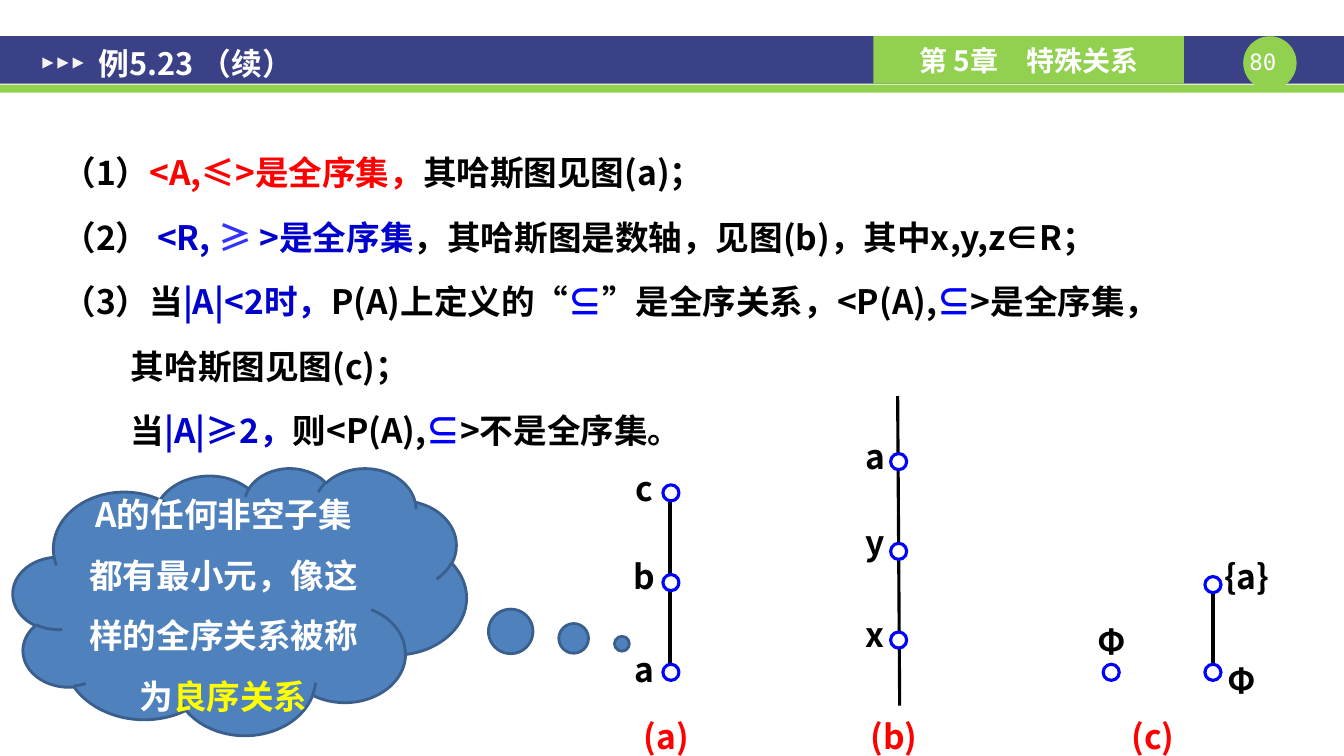
"""Build the slide for example 5.23: totally ordered sets and their Hasse diagrams."""
from lxml import etree
from pptx import Presentation
from pptx import util as u
from pptx.dml.color import RGBColor
from pptx.enum import shapes, text
from pptx.oxml.ns import qn

THEME = {
    "font": "Noto Sans CJK SC", "mono": "DejaVu Sans Mono",
    "page": 16, "chapter": 20, "title": 22, "body": 24,
    "navy": "3A4187", "green": "92D050", "arrow": "F2F2F2", "white": "FFFFFF",
    "black": "000000", "red": "FF0000", "yellow": "FFFF00", "blue": "0000CC",
    "violet": "3333FF", "bright": "0000FF", "cloud": "4F81BD", "outline": "3A5F8C",
}
TITLE = "例5.23 （续）"
CHAPTER = "第 5章　特殊关系"
PAGE = "80"
BODY = [
    (0, [("（1）", "black"), ("<A,≤>是全序集，", "red"), ("其哈斯图见图(a)；", "black")]),
    (0, [("（2） ", "black"), ("<R,", "blue"), (" ≥ ", "violet"), (">是全序集", "blue"),
         ("，其哈斯图是数轴，见图(b)，其中x,y,z∈R；", "black")]),
    (0, [("（3）当", "black"), ("|A|<2时，", "blue"), ("P(A)上定义的“", "black"), ("⊆", "bright"),
         ("”是全序关系，<P(A),", "black"), ("⊆", "bright"), (">是全序集，", "black")]),
    (0.68, [("其哈斯图见图(c)；", "black")]),
    (0.68, [("当", "black"), ("|A|≥2，", "blue"), ("则<P(A),", "black"), ("⊆", "bright"),
            (">不是全序集。", "black")]),
]
CLOUD = [("A的任何非空子集都有最小元，像这样的全序关系被称为", "white"), ("良序关系", "yellow")]
DIAGRAMS = [
    {"edge": (12.04, 5.8, 12.04, 6.61),
     "nodes": [(11.03, 6.67), (12.04, 5.8), (12.04, 6.67)],
     "labels": [("Φ", 10.84, 6.16, 0.39), ("Φ", 12.13, 6.55, 0.39), ("{a}", 12.13, 5.52, 0.49)],
     "caption": ("(c)", 11.23)},
    {"edge": (6.65, 4.88, 6.65, 6.6),
     "nodes": [(6.66, 4.89), (6.66, 5.78), (6.66, 6.67)],
     "labels": [("a", 6.27, 6.44, 0.26), ("b", 6.27, 5.52, 0.26), ("c", 6.27, 4.64, 0.26)],
     "caption": ("(a)", 6.39)},
    {"edge": (8.91, 3.93, 8.93, 7),
     "nodes": [(8.92, 4.58), (8.92, 5.47), (8.92, 6.35)],
     "labels": [("x", 8.56, 6.09, 0.26), ("y", 8.56, 5.18, 0.26), ("a", 8.56, 4.32, 0.26)],
     "caption": ("(b)", 8.64)},
]
NODE_SIZE = 0.16
LABEL_HEIGHT = 0.4
CAPTION_TOP = 7.1
SHAPE = shapes.MSO_SHAPE
CENTER = text.PP_ALIGN.CENTER
MIDDLE = text.MSO_ANCHOR.MIDDLE


def color(name):
    return RGBColor.from_string(THEME[name])


def add_shape(slide, kind, box, fill, line=None, width=2.25):
    shape = slide.shapes.add_shape(kind, *map(u.Inches, box))
    shape.shadow.inherit = False
    shape.fill.solid()
    shape.fill.fore_color.rgb = color(fill)
    if line:
        shape.line.color.rgb = color(line)
        shape.line.width = u.Pt(width)
    else:
        shape.line.fill.background()
    return shape


def add_runs(paragraph, runs, size="body", font="font", bold=True):
    for words, tint in runs:
        run = paragraph.add_run()
        run.text = words
        run.font.size = u.Pt(THEME[size])
        run.font.bold = bold
        run.font.name = THEME[font]
        run.font.color.rgb = color(tint)
        east_asian = etree.SubElement(run.font._element, qn("a:ea"))
        east_asian.set("typeface", THEME[font])


def add_frame(slide, box, insets=(0, 0), anchor=text.MSO_ANCHOR.TOP):
    frame = slide.shapes.add_textbox(*map(u.Inches, box)).text_frame
    frame.word_wrap = True
    frame.vertical_anchor = anchor
    frame.margin_left = frame.margin_right = u.Inches(insets[0])
    frame.margin_top = frame.margin_bottom = u.Inches(insets[1])
    return frame


def add_label(slide, words, left, top, width, tint="black", align=CENTER):
    paragraph = add_frame(slide, (left, top, width, LABEL_HEIGHT)).paragraphs[0]
    paragraph.alignment = align
    add_runs(paragraph, [(words, tint)])


def draw_header(slide):
    add_shape(slide, SHAPE.RECTANGLE, (0, 0.36, 13.34, 0.47), "navy")
    add_shape(slide, SHAPE.RECTANGLE, (0, 0.84, 13.34, 0.08), "green")
    add_shape(slide, SHAPE.OVAL, (12.34, 0.36, 0.53, 0.53), "green")
    page = add_frame(slide, (12.27, 0.48, 0.53, 0.27)).paragraphs[0]
    page.alignment = CENTER
    add_runs(page, [(PAGE, "white")], "page", "mono", False)
    chapter = add_shape(slide, SHAPE.RECTANGLE, (8.67, 0.36, 3.08, 0.47), "green").text_frame
    chapter.vertical_anchor = MIDDLE
    chapter.paragraphs[0].alignment = CENTER
    add_runs(chapter.paragraphs[0], [(CHAPTER, "white")], "chapter")
    for index in range(3):
        box = (0.42 + 0.15 * index, 0.57, 0.11, 0.11)
        add_shape(slide, SHAPE.ISOSCELES_TRIANGLE, box, "arrow").rotation = 90
    title = add_frame(slide, (0.85, 0.39, 5.83, 0.47), (0.13, 0.07), MIDDLE)
    add_runs(title.paragraphs[0], [(TITLE, "white")], "title")


def draw_body(slide):
    frame = add_frame(slide, (0.49, 1.24, 12.43, 3.84), (0.13, 0.07))
    for index, (indent, runs) in enumerate(BODY):
        paragraph = frame.add_paragraph() if index else frame.paragraphs[0]
        paragraph.line_spacing = 1.5
        if index:
            paragraph.space_before = u.Pt(2.9)
        if indent:
            paragraph._p.get_or_add_pPr().set("marL", str(u.Inches(indent)))
        add_runs(paragraph, runs)


def draw_diagram(slide, diagram):
    edge = slide.shapes.add_connector(
        shapes.MSO_CONNECTOR.STRAIGHT, *map(u.Inches, diagram["edge"]))
    edge.line.color.rgb = color("black")
    edge.line.width = u.Pt(2.25)
    etree.SubElement(edge._element.spPr, qn("a:effectLst"))
    for x, y in diagram["nodes"]:
        box = (x - NODE_SIZE / 2, y - NODE_SIZE / 2, NODE_SIZE, NODE_SIZE)
        add_shape(slide, SHAPE.OVAL, box, "white", "bright")
    for label in diagram["labels"]:
        add_label(slide, *label)
    words, left = diagram["caption"]
    add_label(slide, words, left, CAPTION_TOP, 0.55, "red", text.PP_ALIGN.JUSTIFY)


def draw_cloud(slide):
    cloud = add_shape(slide, SHAPE.CLOUD_CALLOUT, (0.13, 4.64, 4.5, 2.65), "cloud", "outline", 2)
    cloud.adjustments[0], cloud.adjustments[1] = 0.843, 0.159
    frame = cloud.text_frame
    frame.word_wrap = True
    frame.vertical_anchor = MIDDLE
    paragraph = frame.paragraphs[0]
    paragraph.alignment = CENTER
    paragraph.line_spacing = 1.5
    add_runs(paragraph, CLOUD)


def main():
    presentation = Presentation()
    presentation.slide_width = u.Inches(13.34)
    presentation.slide_height = u.Inches(7.5)
    slide = presentation.slides.add_slide(presentation.slide_layouts[6])
    draw_header(slide)
    draw_body(slide)
    for diagram in DIAGRAMS:
        draw_diagram(slide, diagram)
    draw_cloud(slide)
    presentation.save("out.pptx")


if __name__ == "__main__":
    main()
